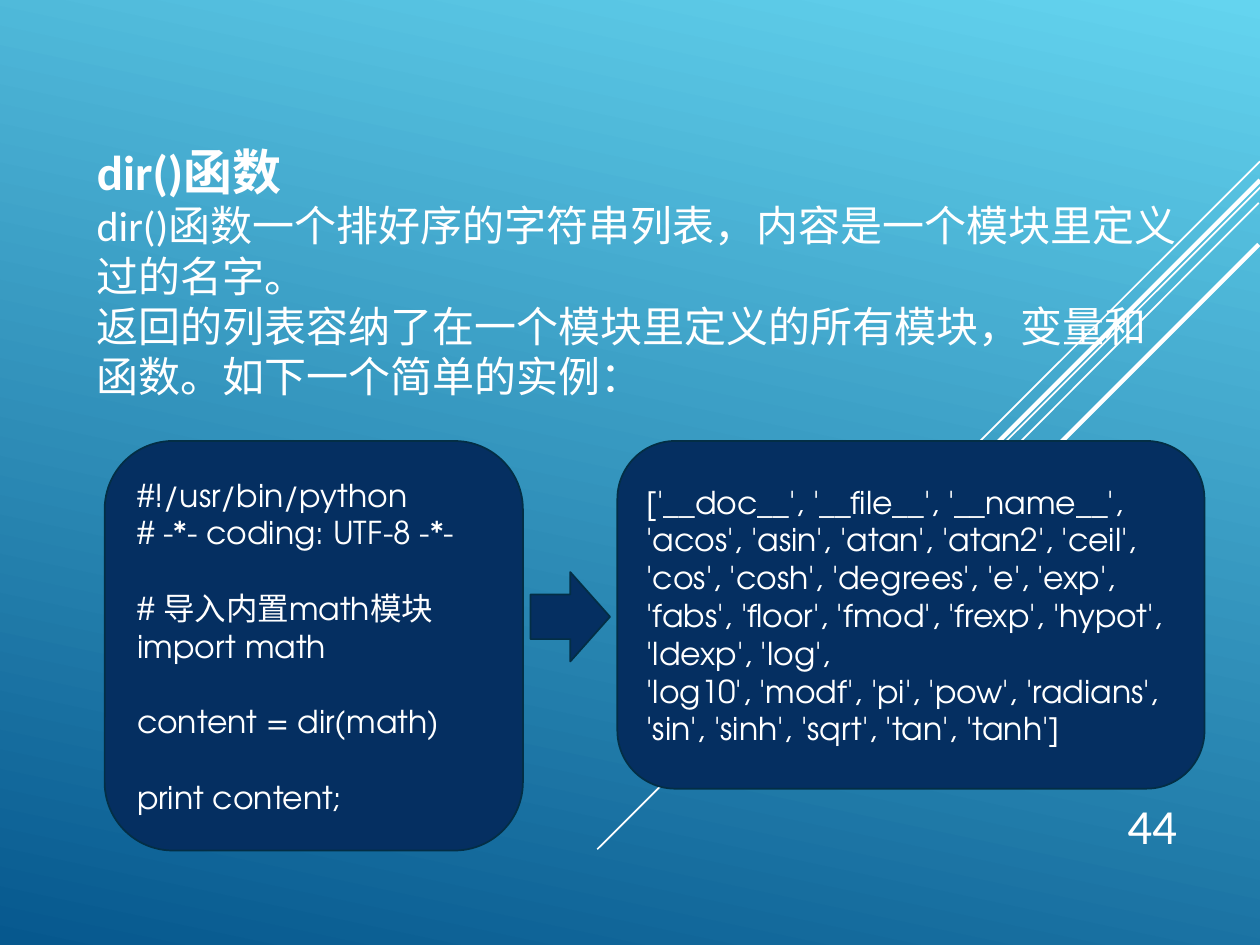
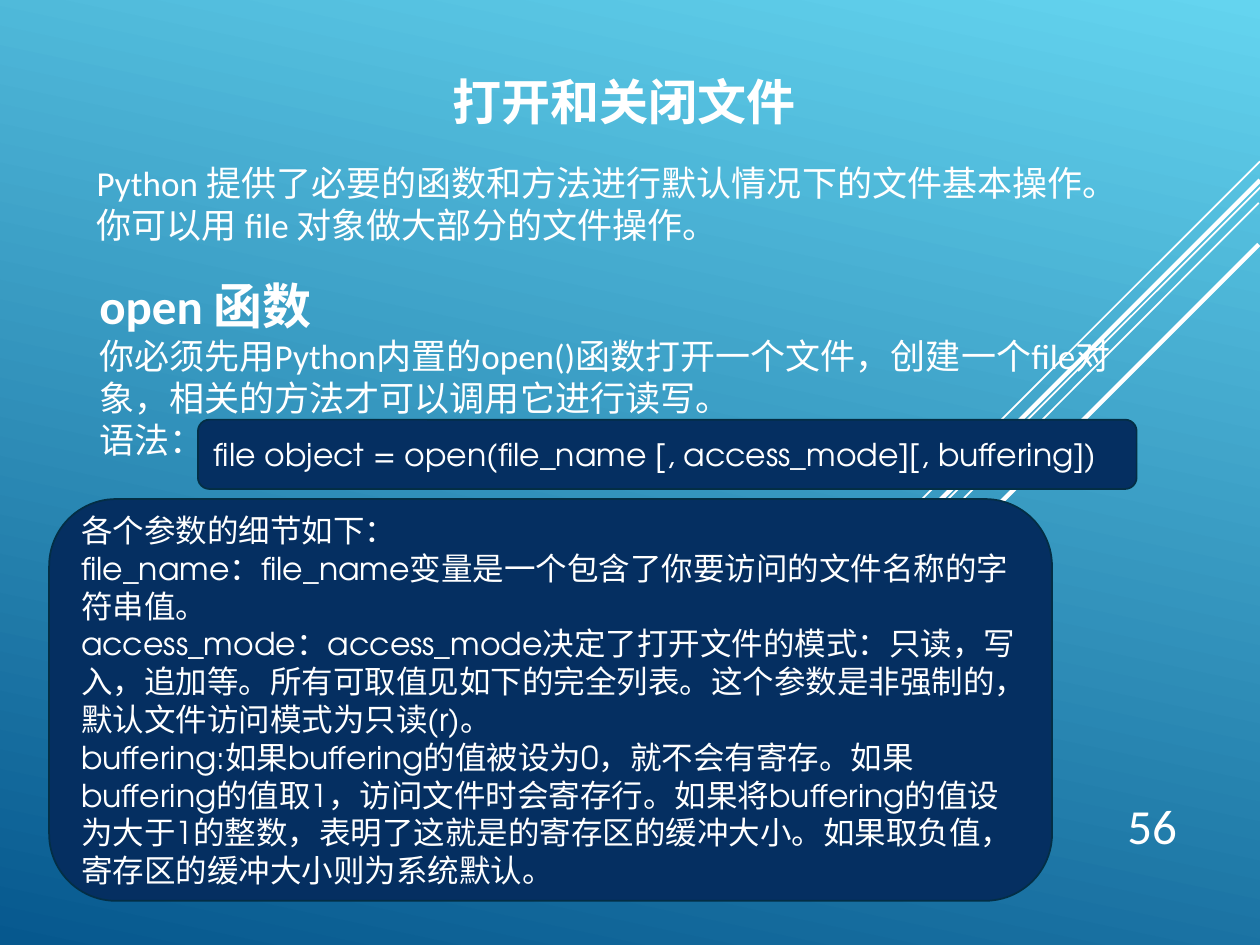
from pptx import Presentation
from pptx.dml.color import RGBColor
from pptx.enum.shapes import MSO_CONNECTOR, MSO_SHAPE
from pptx.enum.text import MSO_ANCHOR, MSO_AUTO_SIZE, PP_ALIGN
from pptx.oxml.ns import qn
from pptx.util import Pt

WHITE = RGBColor(0xFF, 0xFF, 0xFF)
NAVY = RGBColor(0x05, 0x2F, 0x61)
EDGE = RGBColor(0x03, 0x2E, 0x45)
SKY = RGBColor(0x64, 0xD4, 0xEF)
DEEP = RGBColor(0x06, 0x58, 0x8E)
BODY_FONT = "Calibri"
CODE_FONT = "TeX Gyre Adventor"
HEADING_SIZE = 28
CODE_SIZE = 18
LINE_HEIGHT = 1.2
SLIDE_BOX = (0, 0, 720, 540)
STREAKS = [
    (720, 92.2, 473, 339.1, 1),
    (720.7, 106.6, 341.3, 485.3, 1),
    (719.3, 115.9, 411.8, 424.1, 1),
    (720, 103, 417.6, 405.4, 2.5),
    (719.3, 139.7, 449.3, 409.7, 2.5),
]


def write(tf, items, size=CODE_SIZE, font=BODY_FONT, bold=False,
          align=PP_ALIGN.LEFT, anchor=MSO_ANCHOR.TOP):
    """Fill a frame with texts, or (text, overrides) pairs, in one format."""
    tf.word_wrap = True
    tf.auto_size = MSO_AUTO_SIZE.NONE
    tf.vertical_anchor = anchor
    for i, item in enumerate(items):
        text, own = (item, {}) if isinstance(item, str) else item
        p = tf.paragraphs[0] if i == 0 else tf.add_paragraph()
        p.alignment = align
        p.space_before = Pt(own.get("before", 0))
        r = p.add_run()
        r.text = text
        r.font.name = font
        r.font.size = Pt(own.get("size", size))
        r.font.bold = own.get("bold", bold)
        r.font.color.rgb = WHITE


def place(box):
    """Turn a box in points into lengths."""
    return [Pt(v) for v in box]


def add_text(s, box, items, **fmt):
    """Add a text box."""
    write(s.shapes.add_textbox(*place(box)).text_frame, items, **fmt)


def add_title(s, box, text, **fmt):
    """Move the title placeholder into the box and format it."""
    sp = s.shapes.title
    sp.left, sp.top, sp.width, sp.height = place(box)
    write(sp.text_frame, [text], size=HEADING_SIZE, bold=True, **fmt)


def add_navy(s, kind, box):
    """Add a navy preset shape."""
    sp = s.shapes.add_shape(kind, *place(box))
    sp.shadow.inherit = False
    sp.fill.solid()
    sp.fill.fore_color.rgb = NAVY
    sp.line.color.rgb = EDGE
    sp.line.width = Pt(1)
    return sp


def add_panel(s, box, items):
    """Add a rounded code panel."""
    sp = add_navy(s, MSO_SHAPE.ROUNDED_RECTANGLE, box)
    write(sp.text_frame, items, font=CODE_FONT, anchor=MSO_ANCHOR.MIDDLE)


def add_backdrop(s, box, number):
    """Paint the gradient, the diagonal streaks and the page number."""
    x, y, w, h = box
    fill = s.background.fill
    fill.gradient()
    fill.gradient_angle = 360 - 102
    for stop, color in zip(fill.gradient_stops, (SKY, DEEP)):
        stop.color.rgb = color
    for x1, y1, x2, y2, width in STREAKS:
        line = s.shapes.add_connector(
            MSO_CONNECTOR.STRAIGHT, *place((x + x1, y + y1, x + x2, y + y2)))
        line.line.color.rgb = WHITE
        line.line.width = Pt(width)
        sp_pr = line._element.spPr
        sp_pr.append(sp_pr.makeelement(qn("a:effectLst"), {}))
    add_text(s, (x + w - 108, y + h - 100.8, 67.7, 52.6), [str(number)],
             size=HEADING_SIZE, align=PP_ALIGN.RIGHT, anchor=MSO_ANCHOR.BOTTOM)


def add_dir_intro(s, box):
    """Place the dir() heading and the description under it."""
    x, y, w, h = box
    step = HEADING_SIZE * LINE_HEIGHT
    add_title(s, (x, y, w, step + 7.2), "dir()函数")
    add_text(s, (x, y + step, w, h - step), [
        "dir()函数一个排好序的字符串列表，内容是一个模块里定义过的名字。",
        "返回的列表容纳了在一个模块里定义的所有模块，变量和函数。如下一个简单的实例：",
    ], size=24)


def add_dir_example(s, box):
    """Place the code, an arrow and the result it prints."""
    x, y, w, h = box
    gap = {"before": CODE_SIZE * LINE_HEIGHT}
    add_panel(s, (x, y, 239, h), [
        "#!/usr/bin/python",
        "# -*- coding: UTF-8 -*-",
        ("# 导入内置math模块", gap),
        "import math",
        ("content = dir(math)", gap),
        ("print content;", gap),
    ])
    add_navy(s, MSO_SHAPE.RIGHT_ARROW, (x + 243.4, y + 74.9, 45.4, 51.1))
    add_panel(s, (x + w - 335.5, y, 335.5, 198.7), [
        "['__doc__', '__file__', '__name__', 'acos', 'asin', 'atan', 'atan2', "
        "'ceil', 'cos', 'cosh', 'degrees', 'e', 'exp', 'fabs', 'floor', "
        "'fmod', 'frexp', 'hypot', 'ldexp', 'log',",
        "'log10', 'modf', 'pi', 'pow', 'radians', 'sin', 'sinh', 'sqrt', "
        "'tan', 'tanh']",
    ])


def add_open_intro(s, box):
    """Place the file remarks and the open section."""
    x, y, w, h = box
    add_text(s, (x, y, w, 55.4), [
        "Python 提供了必要的函数和方法进行默认情况下的文件基本操作。"
        "你可以用 file 对象做大部分的文件操作。",
    ], size=20)
    add_text(s, (x + 1.5, y + 65.5, w - 1.5, h - 65.5), [
        ("open 函数", {"size": HEADING_SIZE, "bold": True}),
        "你必须先用Python内置的open()函数打开一个文件，创建一个file对象，"
        "相关的方法才可以调用它进行读写。",
        "语法：",
    ], size=20)


def add_open_syntax(s, box):
    """Place the syntax bar and the parameter notes."""
    x, y, w, h = box
    add_panel(s, (x + 85, y, w - 85, 39.6), [
        "file object = open(file_name [, access_mode][, buffering])",
    ])
    add_panel(s, (x, y + 45.4, 573.1, h - 45.4), [
        "各个参数的细节如下：",
        "file_name：file_name变量是一个包含了你要访问的文件名称的字符串值。",
        "access_mode：access_mode决定了打开文件的模式：只读，写入，追加等。"
        "所有可取值见如下的完全列表。这个参数是非强制的，默认文件访问模式为只读(r)。",
        "buffering:如果buffering的值被设为0，就不会有寄存。"
        "如果buffering的值取1，访问文件时会寄存行。"
        "如果将buffering的值设为大于1的整数，表明了这就是的寄存区的缓冲大小。"
        "如果取负值，寄存区的缓冲大小则为系统默认。",
    ])


def new_slide(prs, number):
    """Add a title-only slide with the shared backdrop."""
    s = prs.slides.add_slide(prs.slide_layouts[5])
    add_backdrop(s, SLIDE_BOX, number)
    return s


def main():
    """Build both slides and save them."""
    prs = Presentation()
    prs.slide_width, prs.slide_height = place(SLIDE_BOX[2:])

    s = new_slide(prs, 44)
    add_dir_intro(s, (48.2, 77, 635.8, 156.2))
    add_dir_example(s, (59.8, 252, 628.5, 234))

    s = new_slide(prs, 56)
    add_title(s, (113, 37.4, 487.4, 41), "打开和关闭文件", align=PP_ALIGN.CENTER)
    add_open_intro(s, (48.2, 88.6, 607, 178.5))
    add_open_syntax(s, (28.1, 239.8, 621.4, 275))

    prs.save("out.pptx")


if __name__ == "__main__":
    main()
